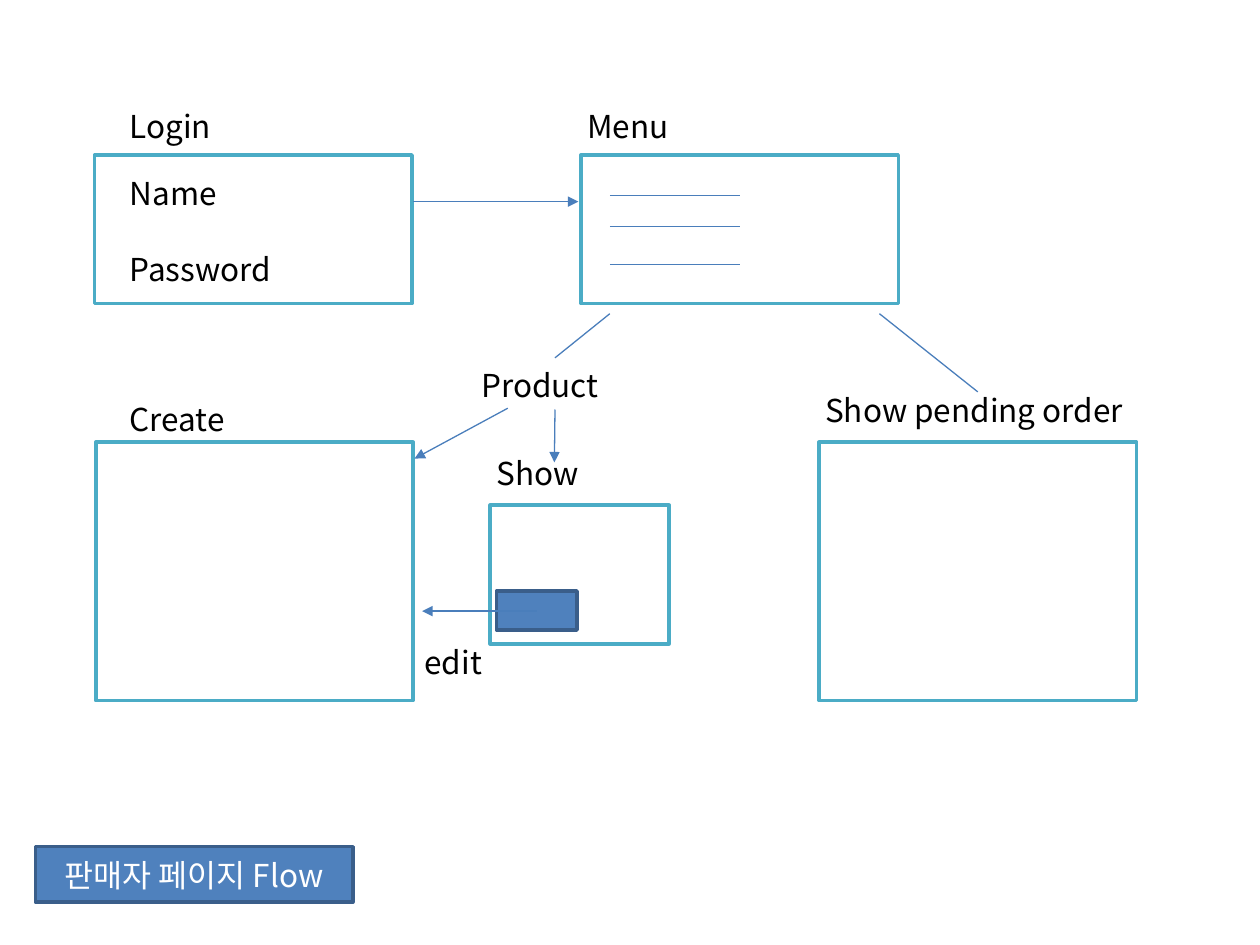
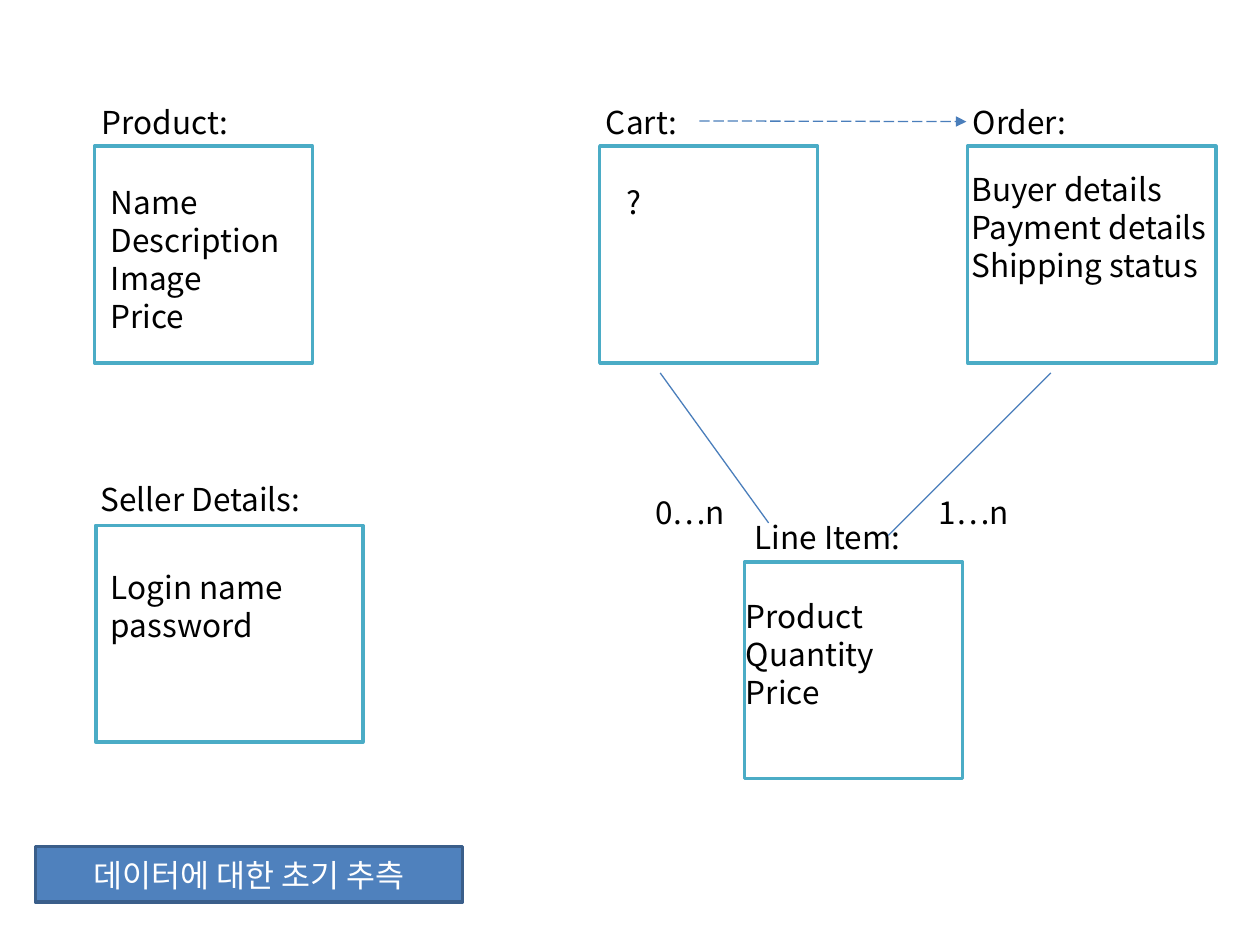
"""Build the seller page flow and the first data guess slides."""
from dataclasses import dataclass
from typing import Optional

from lxml import etree
from pptx import Presentation
from pptx.dml.color import RGBColor
from pptx.enum import dml, shapes, text
from pptx.oxml import ns
from pptx.util import Emu, Pt

PX = 9144
FONT = "Noto Sans CJK KR"
FONT_SIZE = 18
LINE_PITCH = 21.7
COLORS = {
    "frame": "4BACC6",
    "link": "4A7EBB",
    "banner": "4F81BD",
    "banner_edge": "3A5E8A",
    "ink": "000000",
    "paper": "FFFFFF",
}


@dataclass(frozen=True)
class Frame:
    """A rectangle in px."""

    left: int
    top: int
    width: int
    height: int
    fill: Optional[str] = None
    line: str = "frame"


@dataclass(frozen=True)
class Label:
    """A left-aligned text in px, with an optional gap between its lines."""

    content: str
    left: int
    top: int
    width: int
    gap: float = 0


@dataclass(frozen=True)
class Link:
    """A line in px, joined to a label's side where one is named."""

    x1: int
    y1: int
    x2: int
    y2: int
    arrow: bool = False
    dashed: bool = False
    begin: Optional[tuple[str, int]] = None
    end: Optional[tuple[str, int]] = None


@dataclass(frozen=True)
class Page:
    """Everything that one slide shows."""

    title: str
    title_width: int
    frames: list[Frame]
    labels: list[Label]
    links: list[Link]


def px(length: float) -> Emu:
    """Turn px into EMU."""
    return Emu(round(length * PX))


def rgb(name: str) -> RGBColor:
    """Look up a named colour."""
    return RGBColor.from_string(COLORS[name])


def write(shape, content: str, *, color: str = "ink", align=text.PP_ALIGN.LEFT,
          anchor=text.MSO_ANCHOR.TOP, inset: int = 5, nudge: int = 1,
          gap: float = 0) -> None:
    """Write lines of text into a shape."""
    frame = shape.text_frame
    frame.word_wrap = True
    frame.vertical_anchor = anchor
    frame.margin_left = frame.margin_right = frame.margin_bottom = px(inset)
    frame.margin_top = px(inset + nudge)
    for index, line in enumerate(content.split("\n")):
        paragraph = frame.paragraphs[0] if index == 0 else frame.add_paragraph()
        paragraph.alignment = align
        paragraph.line_spacing = Pt(LINE_PITCH)
        paragraph.space_before = Pt(gap if index else 0)
        run = paragraph.add_run()
        run.text = line
        run.font.size = Pt(FONT_SIZE)
        run.font.color.rgb = rgb(color)
        run.font.name = FONT
        etree.SubElement(run.font._element, ns.qn("a:ea"), typeface=FONT)


def draw_frame(slide, frame: Frame):
    """Draw a rectangle with a two-point outline."""
    box = slide.shapes.add_shape(
        shapes.MSO_SHAPE.RECTANGLE,
        px(frame.left), px(frame.top), px(frame.width), px(frame.height))
    box.shadow.inherit = False
    box.line.color.rgb = rgb(frame.line)
    box.line.width = Pt(2)
    if frame.fill:
        box.fill.solid()
        box.fill.fore_color.rgb = rgb(frame.fill)
    else:
        box.fill.background()
    return box


def draw_label(slide, label: Label):
    """Draw a label whose height follows its line count."""
    height = 10 + 31 * len(label.content.split("\n"))
    caption = slide.shapes.add_textbox(
        px(label.left), px(label.top), px(label.width), px(height))
    write(caption, label.content, gap=label.gap)
    return caption


def draw_link(slide, link: Link, captions: dict) -> None:
    """Draw a connector, with its joints, dash and arrowhead."""
    connector = slide.shapes.add_connector(
        shapes.MSO_CONNECTOR.STRAIGHT,
        px(link.x1), px(link.y1), px(link.x2), px(link.y2))
    if link.begin:
        connector.begin_connect(captions[link.begin[0]], link.begin[1])
    if link.end:
        connector.end_connect(captions[link.end[0]], link.end[1])
    connector.line.color.rgb = rgb("link")
    connector.line.width = Pt(0.75)
    if link.dashed:
        connector.line.dash_style = dml.MSO_LINE.LONG_DASH
    if link.arrow:
        etree.SubElement(connector.line._get_or_add_ln(),
                         ns.qn("a:tailEnd"), type="triangle")
    etree.SubElement(connector._element.spPr, ns.qn("a:effectLst"))


def draw_page(deck, page: Page) -> None:
    """Draw one slide with its banner."""
    slide = deck.slides.add_slide(deck.slide_layouts[6])
    for frame in page.frames:
        draw_frame(slide, frame)
    captions = {label.content: draw_label(slide, label) for label in page.labels}
    for link in page.links:
        draw_link(slide, link, captions)
    banner = draw_frame(slide, Frame(28, 672, page.title_width, 44,
                                     "banner", "banner_edge"))
    write(banner, page.title, color="paper", align=text.PP_ALIGN.CENTER,
          anchor=text.MSO_ANCHOR.MIDDLE, inset=0, nudge=0)


SELLER_FLOW = Page(
    title="판매자 페이지 Flow",
    title_width=252,
    frames=[
        Frame(75, 123, 252, 118),
        Frame(461, 123, 252, 118),
        Frame(76, 351, 252, 205),
        Frame(650, 351, 252, 205),
        Frame(389, 401, 142, 110),
        Frame(394, 469, 64, 31, "banner", "banner_edge"),
    ],
    labels=[
        Label("Login", 98, 79, 87),
        Label("Name\nPassword", 98, 132, 126, gap=LINE_PITCH),
        Label("Menu", 461, 79, 87),
        Label("Create", 98, 311, 103),
        Label("Show pending order", 650, 304, 283),
        Label("Product", 377, 284, 127),
        Label("Show", 389, 354, 87),
        Label("edit", 332, 504, 134),
    ],
    links=[
        *(Link(484, y, 587, y) for y in (155, 180, 210)),
        Link(328, 160, 459, 160, arrow=True),
        Link(698, 249, 776, 311),
        Link(484, 249, 440, 284, end=("Product", 0)),
        Link(440, 325, 440, 367, arrow=True, begin=("Product", 2)),
        Link(403, 324, 329, 364, arrow=True),
        Link(426, 485, 335, 485, arrow=True),
    ],
)

DATA_GUESS = Page(
    title="데이터에 대한 초기 추측",
    title_width=339,
    frames=[
        Frame(left, top, width, 172)
        for left, top, width in (
            (75, 116, 173), (76, 417, 212), (476, 116, 173),
            (591, 446, 173), (768, 116, 197))
    ],
    labels=[
        Label("Product:", 76, 76, 134),
        Label("Seller Details:", 75, 375, 181),
        Label("Cart:", 476, 76, 134),
        Label("Order:", 767, 76, 134),
        Label("Line Item:", 594, 405, 134),
        Label("Name\nDescription\nImage\nPrice", 83, 139, 150),
        Label("Login name\npassword", 83, 445, 189),
        Label("?", 492, 139, 126),
        Label("Product\nQuantity\nPrice", 587, 468, 189),
        Label("Buyer details\nPayment details\nShipping status", 766, 129, 215),
        Label("0…n", 515, 385, 94),
        Label("1…n", 740, 385, 94),
    ],
    links=[
        Link(555, 96, 767, 96, arrow=True, dashed=True, end=("Order:", 1)),
        Link(524, 296, 610, 415),
        Link(834, 296, 705, 425),
    ],
)


def main() -> None:
    """Build and save the deck."""
    deck = Presentation()
    deck.slide_width, deck.slide_height = px(1000), px(750)
    for page in (SELLER_FLOW, DATA_GUESS):
        draw_page(deck, page)
    deck.save("out.pptx")


if __name__ == "__main__":
    main()
